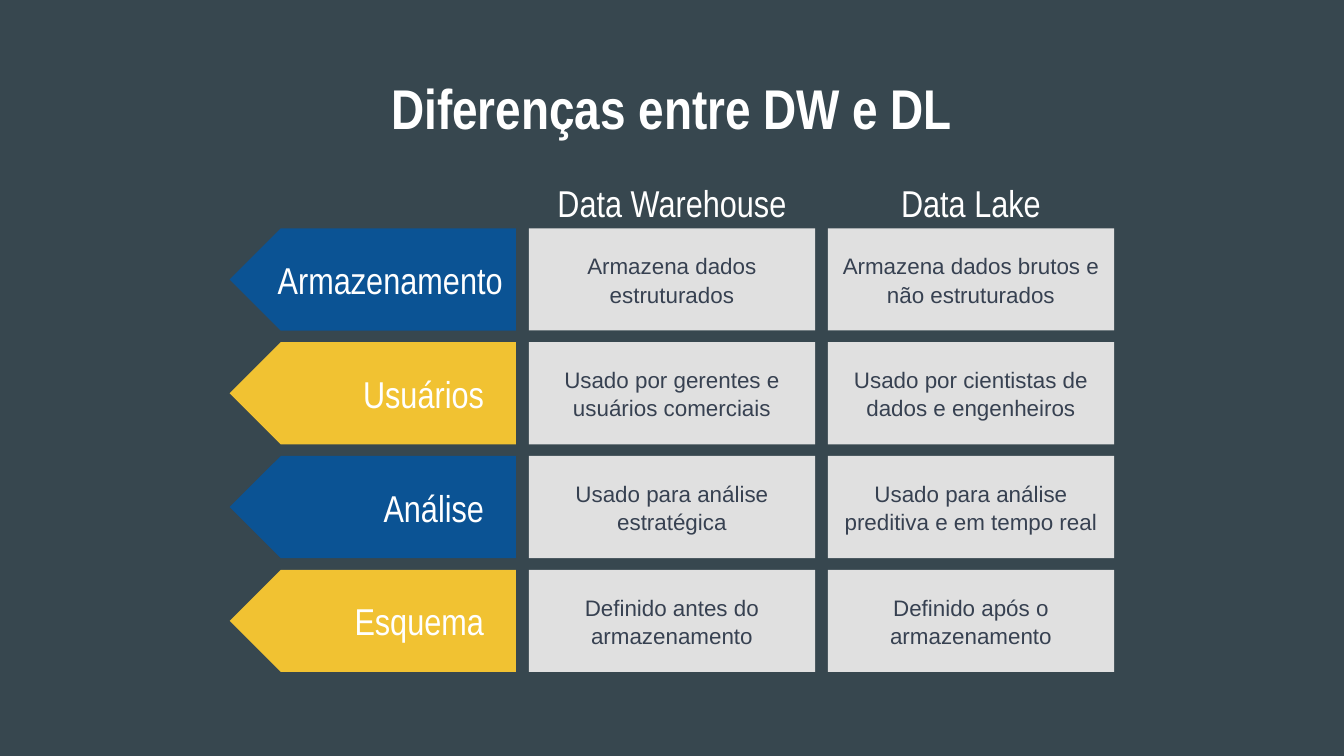
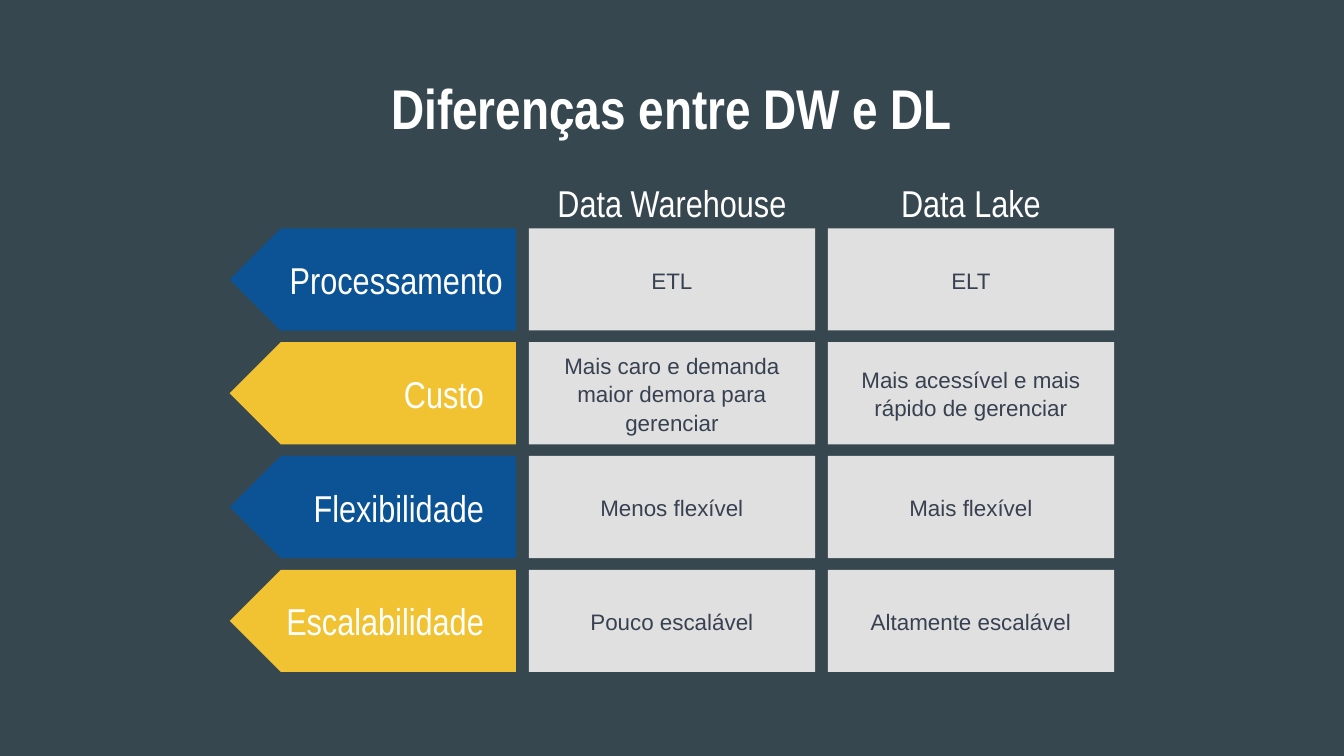
from pptx import Presentation
from pptx.dml.color import RGBColor
from pptx.enum.shapes import MSO_SHAPE
from pptx.enum.text import MSO_ANCHOR, PP_ALIGN
from pptx.oxml.ns import qn
from pptx.util import Inches, Pt

ARROW, RECTANGLE = MSO_SHAPE.PENTAGON, MSO_SHAPE.RECTANGLE
TOP, MIDDLE = MSO_ANCHOR.TOP, MSO_ANCHOR.MIDDLE
CENTER, RIGHT = PP_ALIGN.CENTER, PP_ALIGN.RIGHT

COLORS = {
    "background": "37474F",
    "blue": "0B5394",
    "yellow": "F1C232",
    "cell": "E0E0E0",
    "cell_text": "374151",
    "white": "FFFFFF",
}
HEADING_FONT, BODY_FONT = "Arial Narrow", "Arial"

# Grid: one arrow column and two comparison columns
LEFT, GRID_WIDTH, CELL_WIDTH = 1.71, 6.58, 2.13
FIRST_ROW, LAST_ROW, CELL_HEIGHT = 1.70, 4.24, 0.76
HEADING_HEIGHT = 0.39
LABEL_WIDTH = 1.99

TITLE = "Diferenças entre DW e DL"
COLUMN_HEADINGS = ["Data Warehouse", "Data Lake"]
SLIDES = [
    [
        ("Armazenamento", "Armazena dados estruturados",
         "Armazena dados brutos e não estruturados"),
        ("Usuários", "Usado por gerentes e usuários comerciais",
         "Usado por cientistas de dados e engenheiros"),
        ("Análise", "Usado para análise estratégica",
         "Usado para análise preditiva e em tempo real"),
        ("Esquema", "Definido antes do armazenamento",
         "Definido após o armazenamento"),
    ],
    [
        ("Processamento", "ETL", "ELT"),
        ("Custo", "Mais caro e demanda maior demora para gerenciar",
         "Mais acessível e mais rápido de gerenciar"),
        ("Flexibilidade", "Menos flexível", "Mais flexível"),
        ("Escalabilidade", "Pouco escalável", "Altamente escalável"),
    ],
]


def add_block(slide, kind, left, top, width, fill):
    shape = slide.shapes.add_shape(
        kind, Inches(left), Inches(top), Inches(width), Inches(CELL_HEIGHT))
    shape.shadow.inherit = False
    shape.fill.solid()
    shape.fill.fore_color.rgb = RGBColor.from_string(COLORS[fill])
    shape.line.fill.background()
    return shape


def write_text(shape, text, size=20, font=HEADING_FONT, color="white",
               bold=False, align=CENTER, anchor=MIDDLE, spacing=1.0):
    frame = shape.text_frame
    frame.word_wrap = True
    frame.vertical_anchor = anchor
    frame.margin_left = frame.margin_right = Inches(0.1)
    frame.margin_top = frame.margin_bottom = Inches(0.1)
    paragraph = frame.paragraphs[0]
    paragraph.alignment = align
    paragraph.line_spacing = spacing
    run = paragraph.add_run()
    run.text = text
    run.font.size = Pt(size)
    run.font.name = font
    run.font.bold = bold
    run.font.color.rgb = RGBColor.from_string(COLORS[color])


presentation = Presentation()
presentation.slide_width = Inches(10)
presentation.slide_height = Inches(5.625)

column_step = (GRID_WIDTH - CELL_WIDTH) / 2
column_lefts = [LEFT + column_step * column for column in (1, 2)]

for rows in SLIDES:
    slide = presentation.slides.add_slide(presentation.slide_layouts[6])
    slide.background.fill.solid()
    slide.background.fill.fore_color.rgb = RGBColor.from_string(COLORS["background"])

    # Title
    title = slide.shapes.add_textbox(
        Inches(LEFT), Inches(0.45), Inches(GRID_WIDTH), Inches(0.49))
    write_text(title, TITLE, size=30, bold=True, anchor=TOP)

    # Column headings
    for left, text in zip(column_lefts, COLUMN_HEADINGS):
        heading = slide.shapes.add_textbox(
            Inches(left), Inches(FIRST_ROW - HEADING_HEIGHT),
            Inches(CELL_WIDTH), Inches(HEADING_HEIGHT))
        write_text(heading, text)

    # Comparison rows
    row_step = (LAST_ROW - FIRST_ROW) / (len(rows) - 1)
    for index, (criterion, *answers) in enumerate(rows):
        top = FIRST_ROW + row_step * index

        # Left-pointing arrow with its label
        arrow = add_block(slide, ARROW, LEFT, top, CELL_WIDTH,
                          ("blue", "yellow")[index % 2])
        arrow.adjustments[0] = 0.5
        arrow._element.spPr.find(qn("a:xfrm")).set("flipH", "1")
        # The long label of the first row uses the full arrow width
        label = slide.shapes.add_textbox(
            Inches(LEFT), Inches(top + (CELL_HEIGHT - HEADING_HEIGHT) / 2),
            Inches(CELL_WIDTH if index == 0 else LABEL_WIDTH),
            Inches(HEADING_HEIGHT))
        write_text(label, criterion, align=RIGHT)

        # One cell per column
        for left, answer in zip(column_lefts, answers):
            cell = add_block(slide, RECTANGLE, left, top, CELL_WIDTH, "cell")
            write_text(cell, answer, size=12, font=BODY_FONT,
                       color="cell_text", spacing=1.05)

presentation.save("out.pptx")
